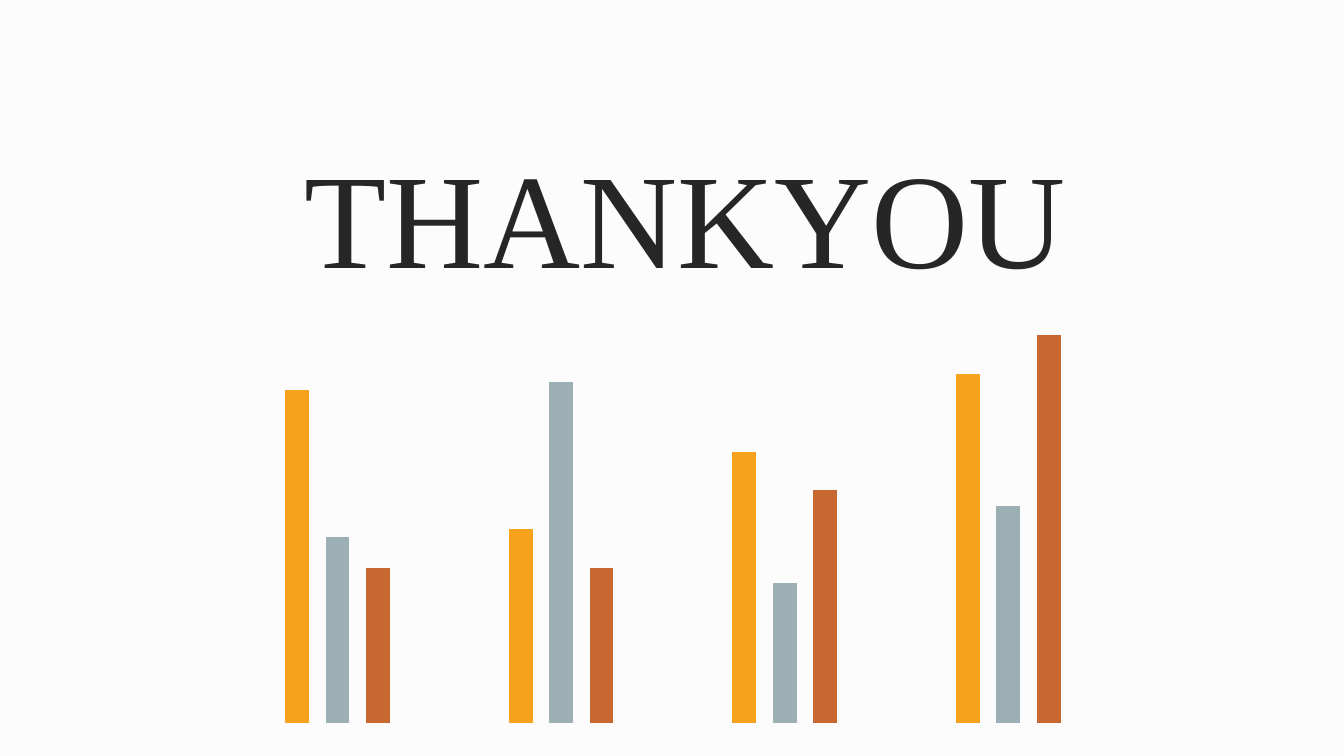
from dataclasses import dataclass

from pptx import Presentation
from pptx.chart.data import CategoryChartData
from pptx.dml.color import RGBColor
from pptx.enum.chart import XL_CHART_TYPE
from pptx.enum.text import MSO_ANCHOR, PP_ALIGN
from pptx.oxml import parse_xml
from pptx.oxml.ns import nsdecls, qn
from pptx.util import Inches, Pt


@dataclass(frozen=True)
class Theme:
    background: str = "FCFCFC"
    ink: str = "262626"
    chart_ink: str = "000000"
    bars: tuple = ("F6A21D", "9BAFB5", "C96731")
    title_font: str = "Times New Roman"
    chart_font: str = "Calibri"
    title_size: int = 96
    chart_size: int = 10


THEME = Theme()
WIDTH, HEIGHT = Inches(13.33), Inches(7.5)
SERIES = {
    "Series 1": (86, 50, 70, 90),
    "Series 2": (48, 88, 36, 56),
    "Series 3": (40, 40, 60, 100),
}


def inch_box(left, top, width, height):
    return [Inches(v) for v in (left, top, width, height)]


def add_text(slide, text, box, *, font, size, color, align, indent, top_inset):
    tf = slide.shapes.add_textbox(*box).text_frame
    tf.word_wrap = True
    tf.vertical_anchor = MSO_ANCHOR.TOP
    tf.margin_top = Inches(top_inset)
    p = tf.paragraphs[0]
    p.alignment = align
    p.line_spacing = 0.9
    pPr = p._p.get_or_add_pPr()
    pPr.set("marL", str(Inches(indent)))
    pPr.set("indent", "0")
    r = p.add_run()
    r.text = text
    r.font.name = font
    r.font.size = Pt(size)
    r.font.color.rgb = RGBColor.from_string(color)


def set_plot_layout(chart, x, y, w, h):
    plot_area = chart._chartSpace.chart.plotArea
    for old in plot_area.findall(qn("c:layout")):
        plot_area.remove(old)
    sizes = "".join(f'<c:{k} val="{v}"/>' for k, v in zip("xywh", (x, y, w, h)))
    plot_area.insert(0, parse_xml(
        f'<c:layout {nsdecls("c")}><c:manualLayout><c:layoutTarget val="inner"/>'
        f'<c:xMode val="edge"/><c:yMode val="edge"/>{sizes}'
        f'</c:manualLayout></c:layout>'))


def add_bars(slide, box):
    data = CategoryChartData()
    data.categories = ["1", "2", "3", "4"]
    for name, values in SERIES.items():
        data.add_series(name, values)
    chart = slide.shapes.add_chart(XL_CHART_TYPE.COLUMN_CLUSTERED, *box, data).chart
    chart.has_legend = False
    chart.has_title = False
    chart.font.name = THEME.chart_font
    chart.font.size = Pt(THEME.chart_size)
    chart.font.color.rgb = RGBColor.from_string(THEME.chart_ink)
    chart.value_axis.minimum_scale = 0
    chart.value_axis.maximum_scale = 120
    chart.value_axis.has_major_gridlines = False
    for axis in (chart.category_axis, chart.value_axis):
        axis.visible = False
    plot = chart.plots[0]
    plot.gap_width = 500
    plot.overlap = -70
    plot.vary_by_categories = False
    for series, color in zip(plot.series, THEME.bars):
        series.format.fill.solid()
        series.format.fill.fore_color.rgb = RGBColor.from_string(color)
    set_plot_layout(chart, 0.002, 0.02, 0.998, 0.915)


def add_closing_slide(prs):
    slide = prs.slides.add_slide(prs.slide_layouts[6])
    fill = slide.background.fill
    fill.solid()
    fill.fore_color.rgb = RGBColor.from_string(THEME.background)
    add_text(slide, "THANKYOU", inch_box(1.97, 1.34, 9.4, 1.67),
             font=THEME.title_font, size=THEME.title_size, color=THEME.ink,
             align=PP_ALIGN.CENTER, indent=0.25, top_inset=0.17)
    add_bars(slide, inch_box(2.22, 2.46, 8.89, 5.04))


def main():
    prs = Presentation()
    prs.slide_width, prs.slide_height = WIDTH, HEIGHT
    add_closing_slide(prs)
    prs.save("out.pptx")


if __name__ == "__main__":
    main()
